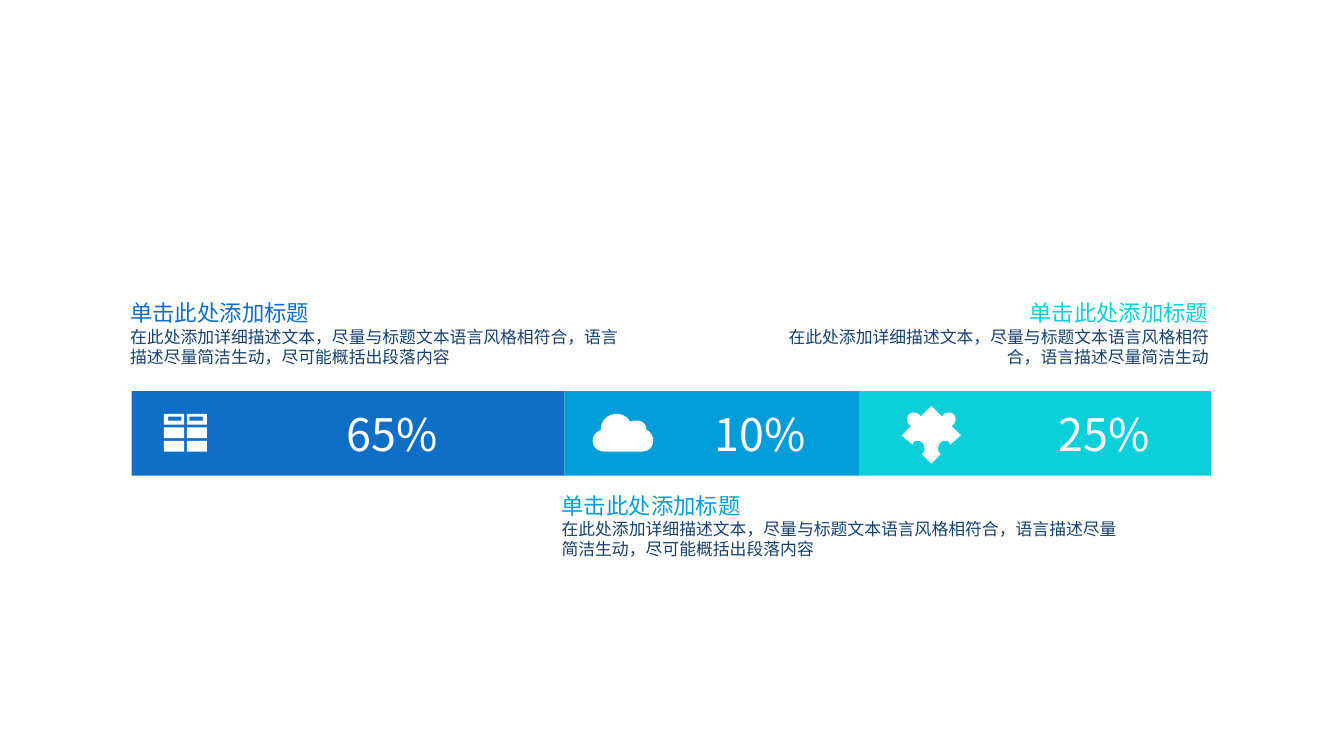
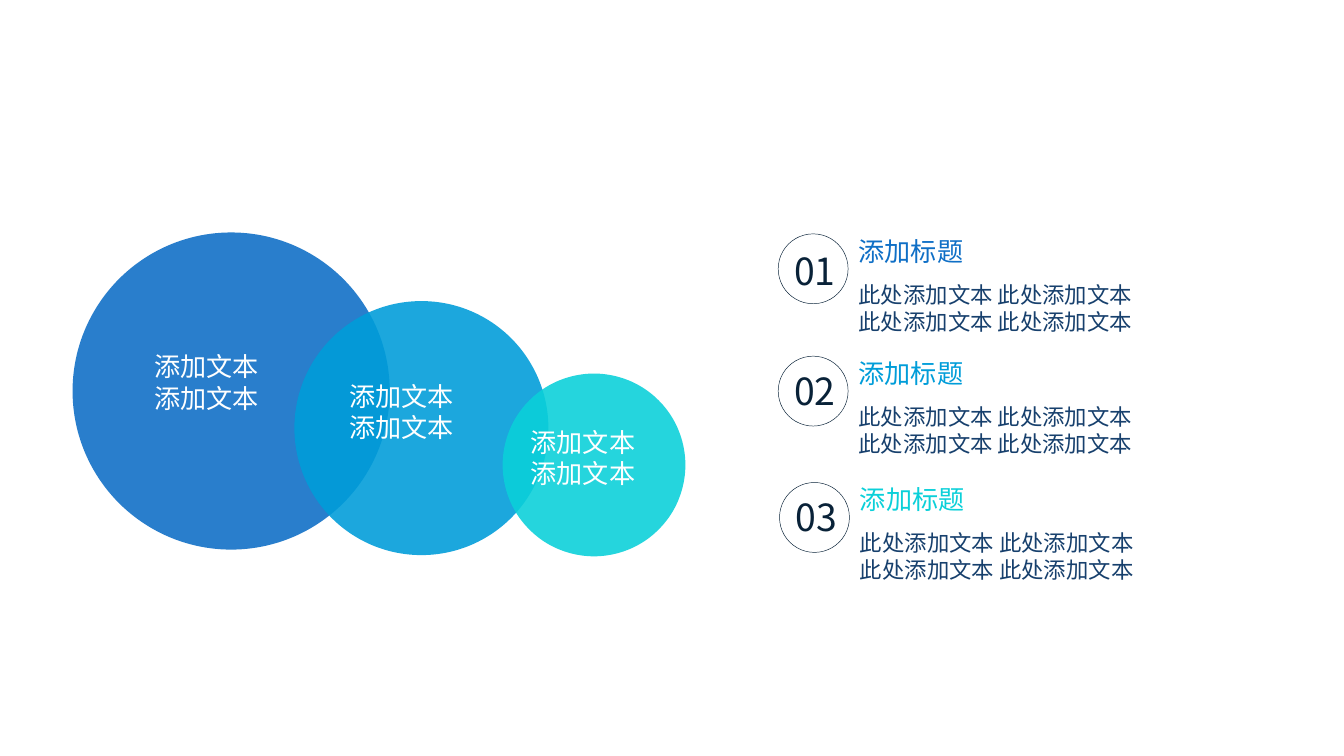
"""Build two slides: a split bar with captions, and linked circles with a numbered list."""
import lxml.etree
import pptx
import pptx.dml.color
import pptx.enum.shapes
import pptx.enum.text
import pptx.oxml.ns
import pptx.util

FONT = "Noto Sans CJK SC"
HUES = ["0F6FC6", "009DD9", "0BD0D9"]
NAVY, INK, WHITE = "17406D", "092238", "FFFFFF"
KIND = pptx.enum.shapes.MSO_SHAPE
ALIGN = pptx.enum.text.PP_ALIGN
tag = pptx.oxml.ns.qn

deck = pptx.Presentation()
deck.slide_width = pptx.util.Inches(10)
deck.slide_height = deck.slide_width * 9 // 16
col = deck.slide_width / 10


def tint(fill, hue):
    fill.solid()
    fill.fore_color.rgb = pptx.dml.color.RGBColor.from_string(hue)


def write(shapes, box, lines, align=ALIGN.LEFT):
    frame = shapes.add_textbox(*[round(n * col) for n in box]).text_frame
    frame.word_wrap = True
    frame.auto_size = pptx.enum.text.MSO_AUTO_SIZE.SHAPE_TO_FIT_TEXT
    frame.text = "\n".join(text for text, size, hue in lines)
    for para, (text, size, hue) in zip(frame.paragraphs, lines):
        para.alignment = align
        for run in para.runs:
            run.font.size = pptx.util.Pt(size)
            run.font.name = FONT
            tint(run.font.fill, hue)
            lxml.etree.SubElement(run.font._element, tag("a:ea"), typeface=FONT)


bar = deck.slides.add_slide(deck.slide_layouts[6]).shapes
edges = [0.98, 4.2, 6.39, 9.01]
for left, right, hue in zip(edges, edges[1:], HUES):
    part = bar.add_shape(KIND.RECTANGLE, *[round(n * col) for n in (left, 2.91, right - left, 0.63)])
    part.shadow.inherit = False
    tint(part.fill, hue)
    part.line.fill.background()

body = "在此处添加详细描述文本，尽量与标题文本语言风格相符合，语言描述尽量简洁生动，尽可能概括出段落内容"
split = ["在此处添加详细描述文本，尽量与标题文本语言风格相符", "合，语言描述尽量简洁生动"]
notes = [
    ((0.87, 2.18, 3.89, 0.61), [body], ALIGN.LEFT),
    ((4.08, 3.61, 4.38, 0.61), [body], ALIGN.LEFT),
    ((5.2, 2.18, 3.89, 0.61), split, ALIGN.RIGHT),
]
for (box, texts, align), hue in zip(notes, HUES):
    lines = [("单击此处添加标题", 12, hue)] + [(text, 9, NAVY) for text in texts]
    write(bar, box, lines, align)

rects = [(1.22 + 0.17 * x, 3.08 + 0.1 * y, 0.15, 0.08) for y in range(3) for x in range(2)]
rects += [(1.25 + 0.16 * x, 3.1, 0.1, 0.03) for x in range(2)]
panes = [[(x, y), (x + w, y), (x + w, y + h), (x, y + h)] for x, y, w, h in rects]

cloud = [
    (4.59, 3.08), (4.63, 3.08, 4.67, 3.1, 4.69, 3.14), (4.7, 3.13, 4.72, 3.13, 4.74, 3.13),
    (4.78, 3.13, 4.81, 3.16, 4.81, 3.19), (4.81, 3.2), (4.84, 3.21, 4.86, 3.24, 4.86, 3.28),
    (4.86, 3.33, 4.82, 3.36, 4.78, 3.36), (4.5, 3.36), (4.45, 3.36, 4.41, 3.33, 4.41, 3.28),
    (4.41, 3.24, 4.44, 3.21, 4.47, 3.2), (4.47, 3.13, 4.52, 3.08, 4.59, 3.08),
]
half = [
    (6.93, 3.02), (7.01, 3.1), (7.02, 3.08, 7.04, 3.07, 7.06, 3.07),
    (7.09, 3.07, 7.11, 3.09, 7.11, 3.12), (7.11, 3.14, 7.1, 3.16, 7.08, 3.17),
    (7.15, 3.24), (7.07, 3.31), (7.07, 3.29, 7.05, 3.28, 7.03, 3.28),
    (7, 3.28, 6.98, 3.31, 6.98, 3.34), (6.98, 3.36, 6.99, 3.37, 7, 3.38), (6.93, 3.45),
]
curves = []
for steps in (cloud, half):
    dots = []
    for step in steps:
        if len(step) == 2:
            dots.append(step)
            continue
        knots = [dots[-1], step[:2], step[2:4], step[4:]]
        for t in [n / 8 for n in range(1, 9)]:
            parts = [(1 - t) ** 3, 3 * t * (1 - t) ** 2, 3 * t * t * (1 - t), t ** 3]
            dots.append(tuple(sum(p * k[i] for p, k in zip(parts, knots)) for i in range(2)))
    curves.append(dots)
puzzle = curves[1] + [(2 * 6.93 - x, y) for x, y in curves[1][-2:0:-1]]

for loops in (panes, [curves[0]], [puzzle]):
    paths = [[(round(x * col), round(y * col)) for x, y in loop] for loop in loops]
    pen = bar.build_freeform(*paths[0][0])
    pen.add_line_segments(paths[0][1:], close=True)
    for trace in paths[1:]:
        pen.move_to(*trace[0])
        pen.add_line_segments(trace[1:], close=True)
    icon = pen.convert_to_shape()
    icon.shadow.inherit = False
    tint(icon.fill, WHITE)
    icon.line.fill.background()

for left, width, text in [(2.09, 1.65, "65%"), (5.04, 1.23, "10%"), (7.6, 1.23, "25%")]:
    write(bar, (left, 2.98, width, 0.51), [(text, 24, WHITE)], ALIGN.CENTER)

rings = deck.slides.add_slide(deck.slide_layouts[6]).shapes
for left, top, size, hue in zip((0.54, 2.19, 3.74), (1.73, 2.24, 2.78), (2.36, 1.89, 1.36), HUES):
    disc = rings.add_shape(KIND.FLOWCHART_CONNECTOR, *[round(n * col) for n in (left, top, size, size)])
    disc.shadow.inherit = False
    tint(disc.fill, hue)
    disc.line.fill.background()
    shade = next(disc._element.spPr.iter(tag("a:srgbClr")))
    lxml.etree.SubElement(shade, tag("a:alpha"), val="89000")
for left, top in [(1.05, 2.56), (2.5, 2.78), (3.85, 3.12)]:
    write(rings, (left, top, 1.34, 0.57), [("添加文本", 14, WHITE)] * 2)

for num, (left, top, hue) in enumerate(zip((5.79, 5.79, 5.8), (1.74, 2.65, 3.59), HUES), 1):
    item = rings.add_group_shape().shapes
    write(item, (left + 0.5, top + 0.3, 2.73, 0.5), [("此处添加文本 此处添加文本", 12, NAVY)] * 2)
    badge = item.add_shape(KIND.FLOWCHART_CONNECTOR, *[round(n * col) for n in (left, top, 0.52, 0.52)])
    badge.shadow.inherit = False
    badge.fill.background()
    tint(badge.line.fill, INK)
    badge.line.width = pptx.util.Pt(0.25)
    write(item, (left + 0.5, top - 0.04, 1.27, 0.34), [("添加标题", 14, hue)])
    drop = 0.06 if num == 1 else 0.04
    write(item, (left + 0.02, top + drop, 0.55, 0.44), [(f"{num:02}", 20, INK)])

deck.save("out.pptx")
